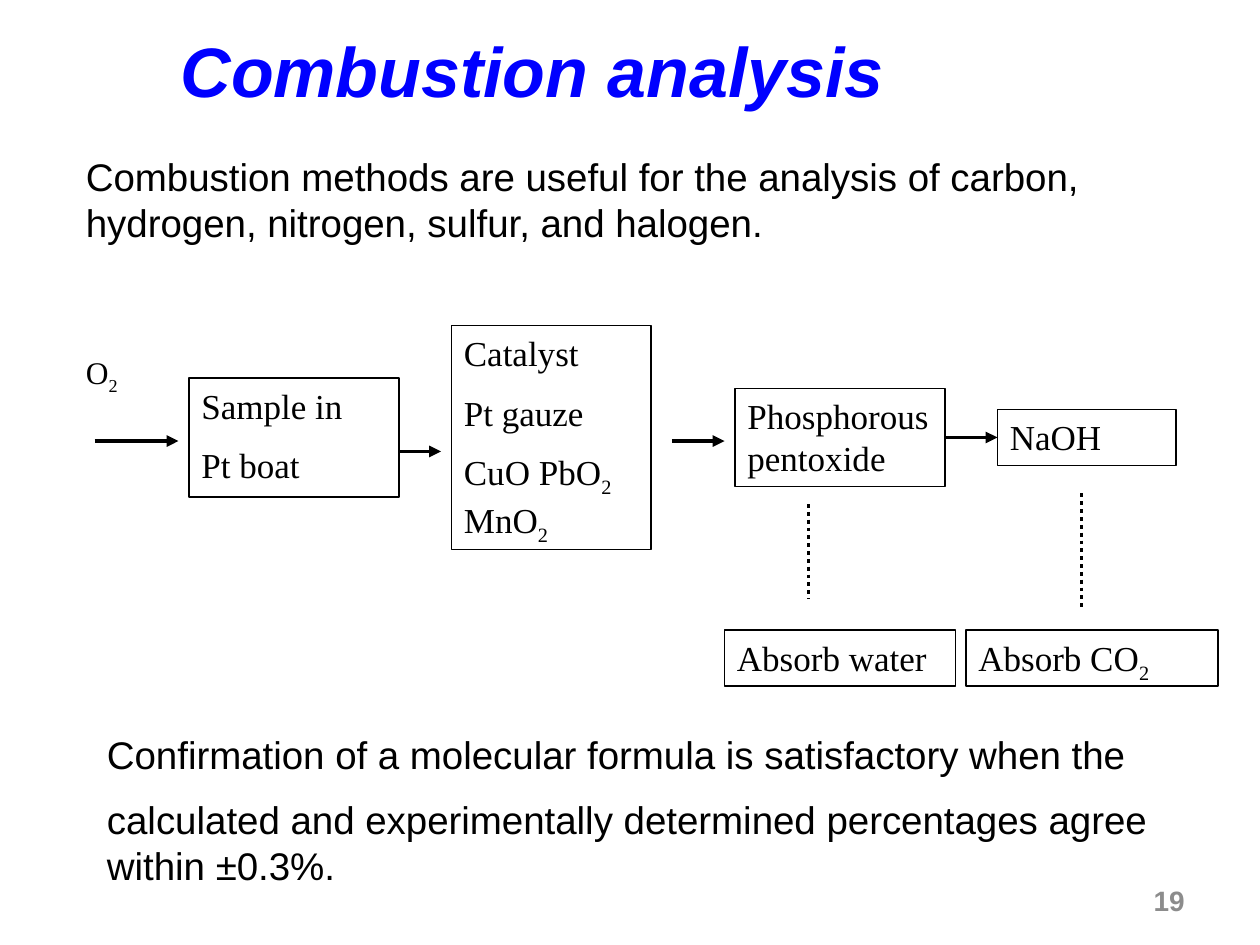
from dataclasses import dataclass
from typing import Any, Optional

from lxml.etree import SubElement
from pptx import Presentation
from pptx.dml.color import RGBColor
from pptx.enum.dml import MSO_LINE
from pptx.enum.shapes import MSO_CONNECTOR, MSO_SHAPE
from pptx.enum.text import MSO_ANCHOR, MSO_AUTO_SIZE, PP_ALIGN
from pptx.oxml.ns import qn
from pptx.util import Pt


@dataclass(frozen=True)
class Theme:
    ink: RGBColor = RGBColor(0, 0, 0)
    blue: RGBColor = RGBColor(0, 0, 255)
    gray: RGBColor = RGBColor(0x8C, 0x8C, 0x8C)
    sans: str = "Arial"
    serif: str = "Times New Roman"
    title: int = 40
    body: int = 22
    label: int = 20
    gas: int = 18
    number: int = 16
    border: float = 0.75
    stroke: float = 2.25


@dataclass(frozen=True)
class Area:
    x: float
    y: float
    w: float
    h: float


@dataclass(frozen=True)
class Box:
    name: str
    area: Area
    lines: tuple[str, ...]  # "_" lowers the next character


@dataclass(frozen=True)
class Link:
    x1: float
    y1: float
    x2: float
    y2: float
    dotted: bool = False
    start: Optional[str] = None
    end: Optional[str] = None


THEME = Theme()

BOXES = (
    Box("sample", Area(108, 216, 120, 68), ("Sample in", "Pt boat")),
    Box("catalyst", Area(258, 186, 114, 128),
        ("Catalyst", "Pt gauze", "CuO PbO_2 MnO_2")),
    Box("drier", Area(420, 222, 120, 56), ("Phosphorous pentoxide",)),
    Box("base", Area(570, 234, 102, 32), ("NaOH",)),
    Box("water", Area(414, 360, 132, 32), ("Absorb water",)),
    Box("carbon", Area(552, 360, 144, 32), ("Absorb CO_2",)),
)

LINKS = (
    Link(54, 252, 102, 252),
    Link(228, 258, 252, 258),
    Link(384, 252, 414, 252),
    Link(540, 250, 570, 250, start="drier", end="base"),
    Link(462, 288, 462, 342, dotted=True),
    Link(618, 282, 618, 348, dotted=True),
)


def style(item: Any, values: dict[str, Any]) -> None:
    for key, value in values.items():
        setattr(item, key, value)


def place(shape: Any, area: Area) -> None:
    style(shape, {"left": Pt(area.x), "top": Pt(area.y),
                  "width": Pt(area.w), "height": Pt(area.h)})


def write(shape: Any, lines: tuple[str, ...], size: int, face: str,
          color: RGBColor = THEME.ink, align: PP_ALIGN = PP_ALIGN.LEFT,
          anchor: MSO_ANCHOR = MSO_ANCHOR.TOP, **extra: bool) -> None:
    frame = shape.text_frame
    style(frame, {"word_wrap": True, "auto_size": MSO_AUTO_SIZE.NONE,
                  "vertical_anchor": anchor})
    for row, line in enumerate(lines):
        para = frame.add_paragraph() if row else frame.paragraphs[0]
        para.alignment = align
        if row:
            para.space_before = Pt(size / 2)
        head, *tails = line.split("_")
        parts = [(head, False)]
        for tail in tails:
            parts += [(tail[0], True), (tail[1:], False)]
        for text, low in parts:
            if not text:
                continue
            run = para.add_run()
            run.text = text
            style(run.font, {"size": Pt(size), "name": face, **extra})
            run.font.color.rgb = color
            if low:
                run.font._element.set("baseline", "-25000")


def add_text(slide: Any, area: Area, *lines: str, **look: Any) -> None:
    shape = slide.shapes.add_textbox(
        Pt(area.x), Pt(area.y), Pt(area.w), Pt(area.h))
    write(shape, lines, **look)


def add_box(slide: Any, box: Box) -> Any:
    shape = slide.shapes.add_shape(MSO_SHAPE.RECTANGLE, 0, 0, 0, 0)
    place(shape, box.area)
    shape.shadow.inherit = False
    shape.fill.background()
    shape.line.color.rgb = THEME.ink
    shape.line.width = Pt(THEME.border)
    write(shape, box.lines, THEME.label, THEME.serif)
    return shape


def add_link(slide: Any, link: Link, boxes: dict[str, Any]) -> None:
    line = slide.shapes.add_connector(
        MSO_CONNECTOR.STRAIGHT,
        Pt(link.x1), Pt(link.y1), Pt(link.x2), Pt(link.y2))
    if link.start:
        line.begin_connect(boxes[link.start], 3)
    if link.end:
        line.end_connect(boxes[link.end], 1)
    line.line.color.rgb = THEME.ink
    line.line.width = Pt(THEME.stroke)
    props = line._element.spPr
    if link.dotted:
        line.line.dash_style = MSO_LINE.ROUND_DOT
    else:
        SubElement(props.find(qn("a:ln")), qn("a:tailEnd"), type="triangle")
    SubElement(props, qn("a:effectLst"))


def main() -> None:
    deck = Presentation()
    style(deck, {"slide_width": Pt(720), "slide_height": Pt(540)})
    slide = deck.slides.add_slide(deck.slide_layouts[5])

    # Title and introduction
    title = slide.shapes.title
    place(title, Area(96, 12, 510, 55))
    write(title, ("Combustion analysis",), THEME.title, THEME.sans,
          THEME.blue, bold=True, italic=True)
    prose = {"size": THEME.body, "face": THEME.sans}
    add_text(slide, Area(42, 84, 606, 60),
             "Combustion methods are useful for the analysis of carbon, "
             "hydrogen, nitrogen, sulfur, and halogen.", **prose)

    # Combustion train
    add_text(slide, Area(42, 198, 54, 36), "O_2",
             size=THEME.gas, face=THEME.serif)
    boxes = {box.name: add_box(slide, box) for box in BOXES}
    for link in LINKS:
        add_link(slide, link, boxes)

    # Conclusion and page number
    add_text(slide, Area(54, 414, 630, 101),
             "Confirmation of a molecular formula is satisfactory when the",
             "calculated and experimentally determined percentages agree "
             "within ±0.3%.", **prose)
    add_text(slide, Area(516, 500, 168, 29), "19", size=THEME.number,
             face=THEME.sans, color=THEME.gray, align=PP_ALIGN.RIGHT,
             anchor=MSO_ANCHOR.MIDDLE, bold=True)

    deck.save("out.pptx")


if __name__ == "__main__":
    main()
